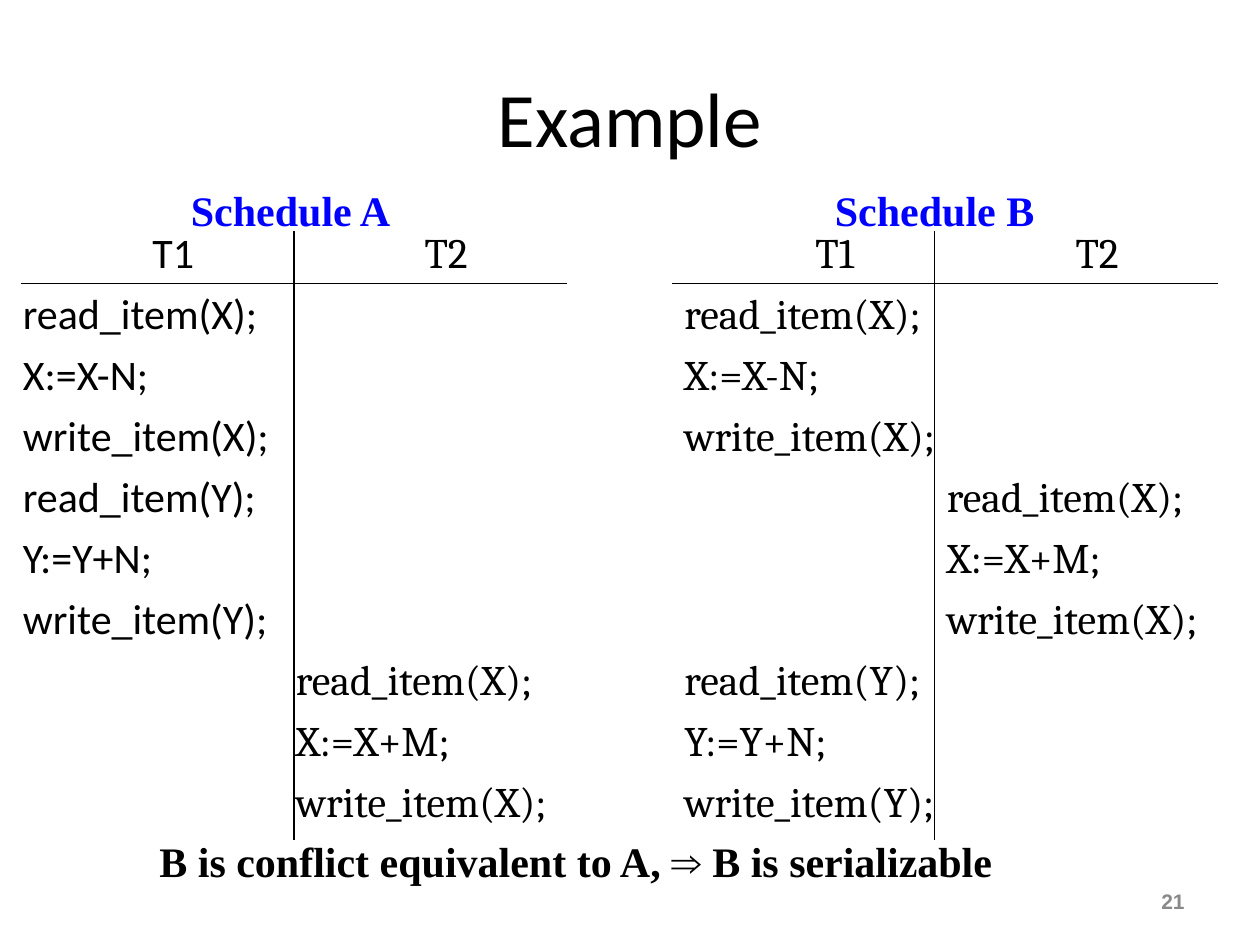
from pptx import Presentation
from pptx.dml.color import RGBColor
from pptx.enum.shapes import MSO_CONNECTOR
from pptx.enum.text import MSO_ANCHOR, PP_ALIGN
from pptx.oxml.ns import qn
from pptx.util import Pt
from lxml.etree import SubElement

COLORS = {"black": "000000", "blue": "0000FF", "gray": "898989"}
SERIF = "Times New Roman"

# Content: each transaction is (name, left, font, {first row: operations})
UPDATE_X = ["read_item(X);", "X:=X-N;", "write_item(X);"]
UPDATE_Y = ["read_item(Y);", "Y:=Y+N;", "write_item(Y);"]
ADD_TO_X = ["read_item(X);", "X:=X+M;", "write_item(X);"]
SCHEDULES = [
    {"title": "Schedule A", "title_left": 102, "rule_left": 12, "divider": 168,
     "transactions": [("T1", 6, "Calibri", {1: UPDATE_X + UPDATE_Y}),
                      ("T2", 162, "Cambria", {7: ADD_TO_X})]},
    {"title": "Schedule B", "title_left": 470, "rule_left": 384, "divider": 534,
     "transactions": [("T1", 384, "Cambria", {1: UPDATE_X, 7: UPDATE_Y}),
                      ("T2", 534, "Cambria", {4: ADD_TO_X})]},
]
CONCLUSION = [("B is conflict equivalent to A, ", SERIF), ("⇒", "Arial"),
              (" B is serializable", SERIF)]

# Layout
COLUMN_TOP, COLUMN_WIDTH, COLUMN_HEIGHT = 126, 186, 354
RULE_TOP, RULE_WIDTH = 162, 312
DIVIDER_TOP, DIVIDER_BOTTOM = 132, 480
LINE_HEIGHT, ROW_GAP = 28.85, 6


def add_span(para, text, font, size=24, color="black", bold=False):
    span = para.add_run()
    span.text = text
    span.font.name, span.font.size, span.font.bold = font, Pt(size), bold
    span.font.color.rgb = RGBColor.from_string(COLORS[color])


def add_box(page, left, top, width, height, wrap=True):
    box = page.shapes.add_textbox(Pt(left), Pt(top), Pt(width), Pt(height))
    box.text_frame.word_wrap = wrap
    return box.text_frame


def add_line(page, left, top, right, bottom):
    line = page.shapes.add_connector(
        MSO_CONNECTOR.STRAIGHT, Pt(left), Pt(top), Pt(right), Pt(bottom))
    line.line.color.rgb = RGBColor.from_string(COLORS["black"])
    line.line.width = Pt(0.75)
    SubElement(line._element.spPr, qn("a:effectLst"))


def add_transaction(page, name, left, font, blocks):
    frame = add_box(page, left, COLUMN_TOP, COLUMN_WIDTH, COLUMN_HEIGHT)
    heading = frame.paragraphs[0]
    heading.alignment = PP_ALIGN.CENTER
    heading.line_spacing = Pt(LINE_HEIGHT)
    add_span(heading, name, font)
    last_row = 0
    for first_row, operations in blocks.items():
        for row, operation in enumerate(operations, first_row):
            para = frame.add_paragraph()
            para.line_spacing = Pt(LINE_HEIGHT)
            skipped = row - last_row - 1
            para.space_before = Pt(ROW_GAP + skipped * (LINE_HEIGHT + ROW_GAP))
            add_span(para, operation, font)
            last_row = row


deck = Presentation()
deck.slide_width, deck.slide_height = Pt(720), Pt(540)
page = deck.slides.add_slide(deck.slide_layouts[5])

# Title
title = page.shapes.title
title.left, title.top, title.width, title.height = Pt(36), Pt(21.6), Pt(648), Pt(90)
title.text_frame.vertical_anchor = MSO_ANCHOR.MIDDLE
title.text_frame.paragraphs[0].alignment = PP_ALIGN.CENTER
add_span(title.text_frame.paragraphs[0], "Example", "Calibri", 44)

# Schedules
for schedule in SCHEDULES:
    for transaction in schedule["transactions"]:
        add_transaction(page, *transaction)
    left, divider = schedule["rule_left"], schedule["divider"]
    add_line(page, left, RULE_TOP, left + RULE_WIDTH, RULE_TOP)
    add_line(page, divider, DIVIDER_TOP, divider, DIVIDER_BOTTOM)
    label = add_box(page, schedule["title_left"], 102, 129, 36, wrap=False)
    add_span(label.paragraphs[0], schedule["title"], SERIF, color="blue", bold=True)

# Conclusion
conclusion = add_box(page, 84, 474, 600, 36)
for text, font in CONCLUSION:
    add_span(conclusion.paragraphs[0], text, font, bold=True)

# Page number
number = add_box(page, 516, 500.4, 168, 28.8)
number.vertical_anchor = MSO_ANCHOR.MIDDLE
number.paragraphs[0].alignment = PP_ALIGN.RIGHT
add_span(number.paragraphs[0], "21", "Arial", 12, "gray", bold=True)

deck.save("out.pptx")
